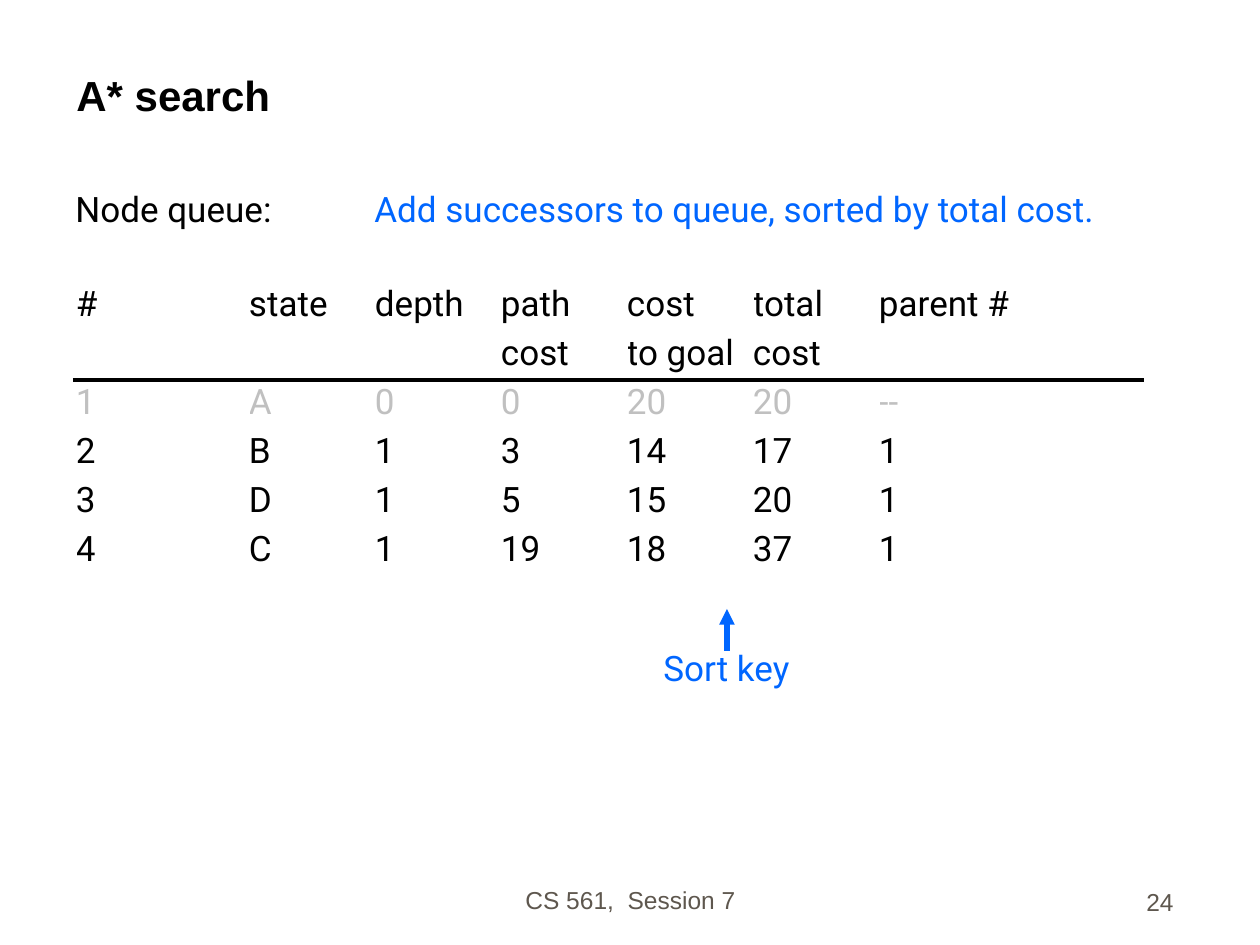
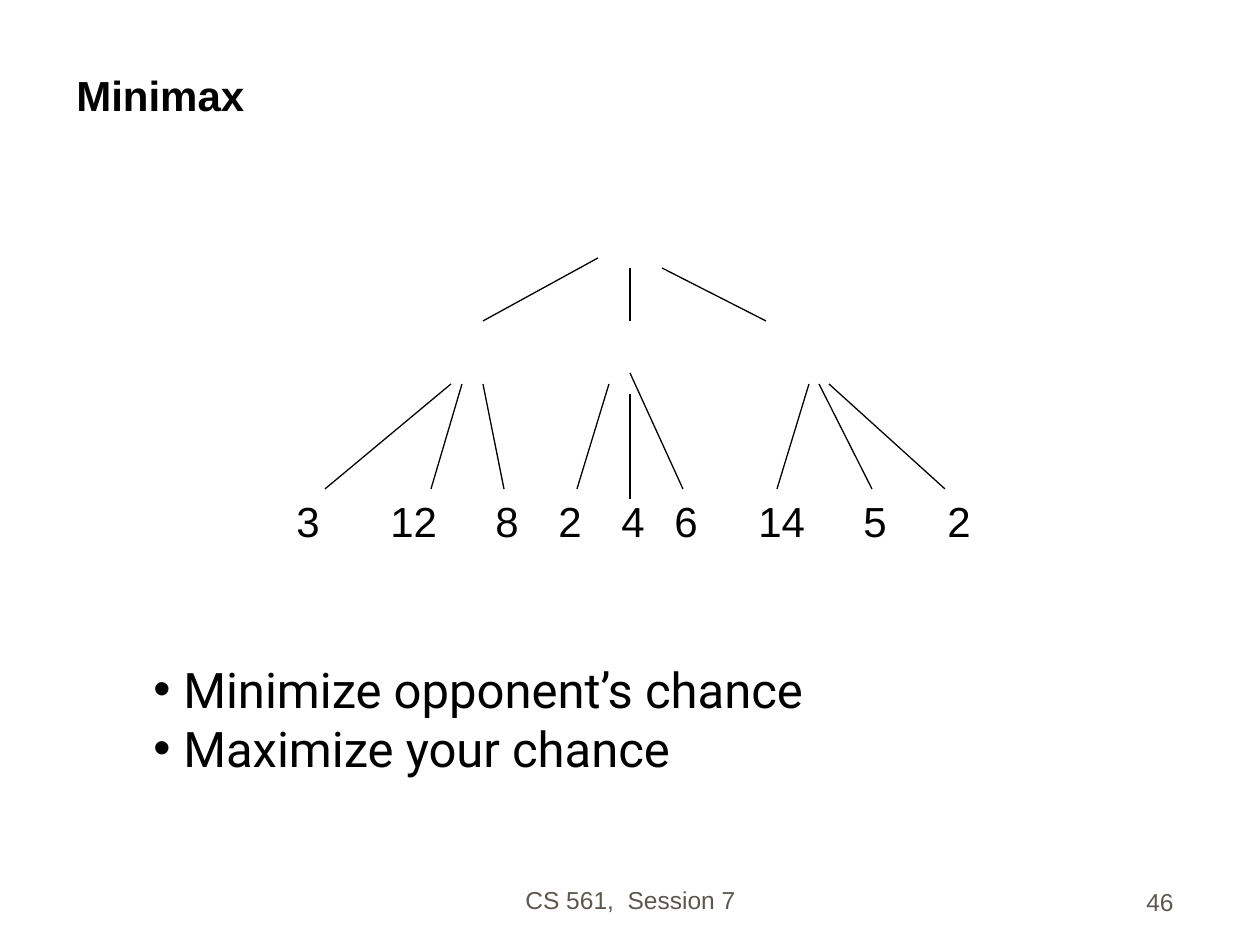
from pptx import Presentation, util as u
from pptx.dml.color import RGBColor
from pptx.enum import shapes, text
from pptx.oxml.ns import qn
from lxml import etree

PX = 914400 / 126
BLACK = RGBColor(0x00, 0x00, 0x00)
BLUE = RGBColor(0x00, 0x66, 0xFF)
GREY = RGBColor(0xC0, 0xC0, 0xC0)
FOOTER = RGBColor(0x5E, 0x57, 0x4E)
HEAD_FONT, BODY_FONT = "Arial", "Roboto"


def px(length):
    return u.Emu(round(length * PX))


def write(frame, content, size=20, font=BODY_FONT, color=BLACK, bold=False,
          align=text.PP_ALIGN.LEFT, gap=0, bullet=None, indent=0):
    """Write each line of content as a paragraph."""
    for i, line in enumerate(content.split("\n")):
        paragraph = frame.add_paragraph() if i else frame.paragraphs[0]
        if bullet:
            props = paragraph._p.get_or_add_pPr()
            props.set("marL", str(px(indent)))
            props.set("indent", str(-px(indent)))
            etree.SubElement(props, qn("a:buFont")).set("typeface", HEAD_FONT)
            etree.SubElement(props, qn("a:buChar")).set("char", bullet)
        if i and gap:
            paragraph.space_before = u.Pt(gap)
        paragraph.alignment = align
        run = paragraph.add_run()
        run.text = line
        run.font.size, run.font.name = u.Pt(size), font
        run.font.bold, run.font.color.rgb = bold, color


def add_text(slide, box, content, anchor=text.MSO_ANCHOR.TOP, wrap=True, **style):
    frame = slide.shapes.add_textbox(*map(px, box)).text_frame
    frame.word_wrap = wrap
    frame.vertical_anchor = anchor
    write(frame, content, **style)


def add_line(slide, start, end, color=BLACK, width=0.75, arrow=False):
    line = slide.shapes.add_connector(
        shapes.MSO_CONNECTOR.STRAIGHT, *map(px, (*start, *end)))
    line.line.color.rgb = color
    line.line.width = u.Pt(width)
    if arrow:
        etree.SubElement(line.line._get_or_add_ln(), qn("a:tailEnd")).set("type", "triangle")
    etree.SubElement(line._element.spPr, qn("a:effectLst"))


def add_page(deck, title, number):
    """Blank slide with the shared title and footer."""
    slide = deck.slides.add_slide(deck.slide_layouts[6])
    bottom = text.MSO_ANCHOR.BOTTOM
    footer = dict(anchor=bottom, size=14, font=HEAD_FONT, color=FOOTER)
    add_text(slide, (431, 858, 399, 63), "CS 561,  Session 7",
             align=text.PP_ALIGN.CENTER, **footer)
    add_text(slide, (924, 860, 262, 63), str(number),
             align=text.PP_ALIGN.RIGHT, **footer)
    add_text(slide, (64, 31, 1124, 95), title, anchor=bottom,
             size=24, font=HEAD_FONT, bold=True)
    return slide


def add_queue(slide, left, top):
    """Node queue table with a rule under its header."""
    rows = [
        ("#", "state", "depth", "path\ncost", "cost\nto goal", "total\ncost", "parent #"),
        ("1", "A", "0", "0", "20", "20", "--"),
        ("2", "B", "1", "3", "14", "17", "1"),
        ("3", "D", "1", "5", "15", "20", "1"),
        ("4", "C", "1", "19", "18", "37", "1"),
    ]
    widths = [173] + [126] * 5 + [265]
    row_height, header_height = 49, 98
    total_height = header_height + row_height * (len(rows) - 1)
    queue = slide.shapes.add_table(
        len(rows), len(widths), px(left), px(top), px(sum(widths)), px(total_height)).table
    queue.first_row = queue.horz_banding = False
    for column, width in zip(queue.columns, widths):
        column.width = px(width)
    for r, values in enumerate(rows):
        queue.rows[r].height = px(row_height if r else header_height)
        for c, value in enumerate(values):
            cell = queue.cell(r, c)
            cell.fill.background()
            cell.margin_left = cell.margin_right = cell.margin_bottom = 0
            cell.margin_top = px(4)
            write(cell.text_frame, value, color=GREY if r == 1 else BLACK, gap=4.7)
    rule_y = top + header_height + 2
    add_line(slide, (left - 3, rule_y), (left + sum(widths), rule_y), width=2.25)


def add_sort_key(slide, left, top):
    """Arrow pointing up at the sorted column, with its label."""
    add_line(slide, (left + 76, top + 42), (left + 76, top), BLUE, 3, arrow=True)
    add_text(slide, (left, top + 31, 152, 54), "Sort key", wrap=False, color=BLUE)


def add_game_tree(slide, left, top):
    """Three-branch tree: a fan of edges per node, and the leaf values."""
    fans = [
        # root
        [(314, 0, 199, 63), (346, 10, 346, 63), (378, 10, 482, 63)],
        # left, middle and right nodes
        [(167, 126, 41, 231), (178, 126, 147, 231), (199, 126, 220, 231)],
        [(325, 126, 293, 231), (346, 136, 346, 241), (346, 115, 399, 231)],
        [(525, 126, 493, 231), (535, 126, 588, 231), (545, 126, 661, 231)],
    ]
    for fan in fans:
        for x1, y1, x2, y2 in fan:
            add_line(slide, (left + x1, top + y1), (left + x2, top + y2))
    leaves = [(0, 3), (94, 12), (199, 8), (262, 2), (325, 4),
              (378, 6), (462, 14), (567, 5), (651, 2)]
    for x, value in leaves:
        width = 72 if value > 9 else 49
        add_text(slide, (left + x, top + 231, width, 63), str(value),
                 wrap=False, size=24, font=HEAD_FONT)


def build_search(deck):
    slide = add_page(deck, "A* search", 24)
    add_text(slide, (63, 181, 290, 54), "Node queue:")
    add_text(slide, (362, 181, 800, 54),
             "Add successors to queue, sorted by total cost.", color=BLUE)
    add_queue(slide, 76, 280)
    add_sort_key(slide, 651, 609)


def build_minimax(deck):
    slide = add_page(deck, "Minimax", 46)
    add_game_tree(slide, 284, 258)
    add_text(slide, (141, 653, 737, 130),
             "Minimize opponent’s chance\nMaximize your chance",
             size=28, bullet="•", indent=30)


def main():
    deck = Presentation()
    deck.slide_width, deck.slide_height = px(1260), px(945)
    build_search(deck)
    build_minimax(deck)
    deck.save("out.pptx")


if __name__ == "__main__":
    main()
